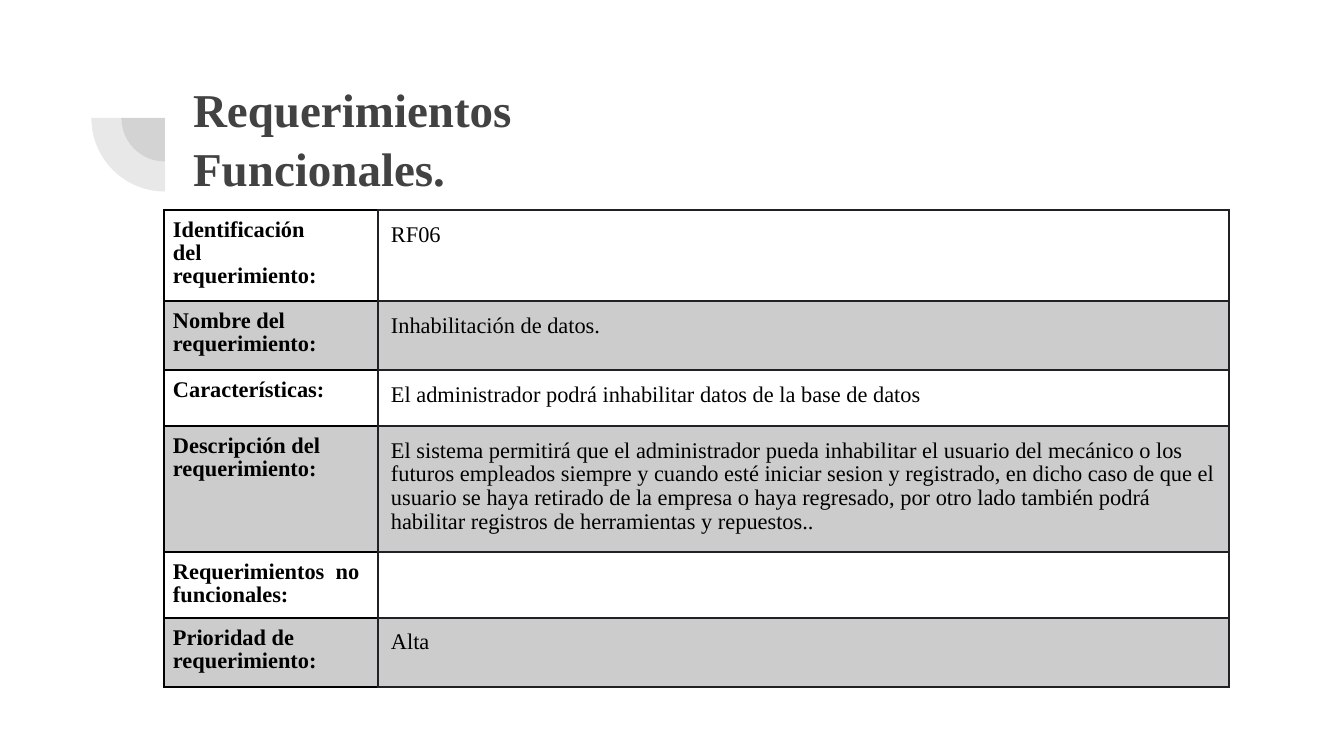
from lxml import etree
from pptx import Presentation
from pptx.dml.color import RGBColor
from pptx.enum.shapes import MSO_SHAPE
from pptx.enum.text import MSO_ANCHOR, MSO_AUTO_SIZE, PP_ALIGN
from pptx.oxml.ns import qn
from pptx.util import Pt

PIE = MSO_SHAPE.PIE
MIDDLE, TOP = MSO_ANCHOR.MIDDLE, MSO_ANCHOR.TOP
LEFT = PP_ALIGN.LEFT
NO_FIT = MSO_AUTO_SIZE.NONE
EMU_PER_PX = 914400 / 134.4
FONT = "Times New Roman"
COLORS = {"title": "424242", "text": "000000", "band": "CCCCCC",
          "label_border": "000000", "value_border": "202124"}
TITLE = "Requerimientos\nFuncionales."
COLUMN_WIDTHS = [214, 851]
ROWS = [
    (91, "Identificación\vdel\nrequerimiento:", "RF06"),
    (69, "Nombre del\nrequerimiento:", "Inhabilitación de datos."),
    (56, "Características:",
     "El administrador podrá inhabilitar datos de la base de datos"),
    (126, "Descripción del requerimiento:",
     "El sistema permitirá que el administrador pueda inhabilitar el usuario "
     "del mecánico o los futuros empleados siempre y cuando esté iniciar sesion "
     "y registrado, en dicho caso de que el usuario se haya retirado de la "
     "empresa o haya regresado, por otro lado también podrá habilitar registros "
     "de herramientas y repuestos.."),
    (66, "Requerimientos  no funcionales:", ""),
    (69, "Prioridad de\nrequerimiento:", "Alta"),
]


def px(length):
    """Turn pixels into EMU."""
    return round(length * EMU_PER_PX)


def color(name):
    """Look up a colour by its role."""
    return RGBColor.from_string(COLORS[name])


def set_margins(holder, margin):
    """Give a cell or text frame the same margin on all sides."""
    holder.margin_left = holder.margin_right = px(margin)
    holder.margin_top = holder.margin_bottom = px(margin)


def style_text(frame, size, color_name, bold, spacing):
    """Format every paragraph of a text frame."""
    for para in frame.paragraphs:
        para.alignment = LEFT
        para.line_spacing = spacing
        para.space_before = para.space_after = Pt(0)
        para.font.name = FONT
        para.font.size = Pt(size)
        para.font.bold = bold
        para.font.color.rgb = color(color_name)


def add_title(page, left, top, width, height):
    """Place and fill the title placeholder."""
    title = page.shapes.title
    title.left, title.top = px(left), px(top)
    title.width, title.height = px(width), px(height)
    frame = title.text_frame
    frame.text = TITLE
    frame.word_wrap = True
    frame.auto_size = NO_FIT
    frame.vertical_anchor = MIDDLE
    set_margins(frame, 13)
    style_text(frame, 25.2, "title", True, 1.05)


def add_quarter_rings(page, center_x, center_y, diameters):
    """Draw translucent quarter discs around one centre."""
    for diameter in diameters:
        pie = page.shapes.add_shape(
            PIE, px(center_x - diameter / 2), px(center_y - diameter / 2),
            px(diameter), px(diameter))
        pie.adjustments[0], pie.adjustments[1] = 107.93, 162
        pie.rotation = 270
        pie.shadow.inherit = False
        pie.line.fill.background()
        pie.fill.solid()
        pie.fill.fore_color.rgb = color("title")
        tint = pie.fill._xPr.find(f".//{qn('a:srgbClr')}")
        etree.SubElement(tint, qn("a:alpha"), val="12000")


def set_borders(cell, color_name, points):
    """Draw the four borders of a cell."""
    properties = cell._tc.get_or_add_tcPr()
    for index, side in enumerate(("a:lnL", "a:lnR", "a:lnT", "a:lnB")):
        line = etree.Element(qn(side), w=str(Pt(points)))
        fill = etree.SubElement(line, qn("a:solidFill"))
        etree.SubElement(fill, qn("a:srgbClr"), val=COLORS[color_name])
        properties.insert(index, line)


def fill_cell(cell, text, banded, margin, bold, spacing, border, points):
    """Write one cell and set its look."""
    cell.text = text
    cell.vertical_anchor = TOP
    set_margins(cell, margin)
    style_text(cell.text_frame, 12, "text", bold, spacing)
    if banded:
        cell.fill.solid()
        cell.fill.fore_color.rgb = color("band")
    else:
        cell.fill.background()
    set_borders(cell, border, points)


def add_requirement_table(page, left, top):
    """Build the table of requirement labels and values."""
    height = sum(row[0] for row in ROWS)
    table = page.shapes.add_table(
        len(ROWS), len(COLUMN_WIDTHS), px(left), px(top),
        px(sum(COLUMN_WIDTHS)), px(height)).table
    table.first_row = table.horz_banding = False
    for column, width in zip(table.columns, COLUMN_WIDTHS):
        column.width = px(width)
    for index, (row_height, label, value) in enumerate(ROWS):
        table.rows[index].height = px(row_height)
        banded = index % 2 == 1
        fill_cell(table.cell(index, 0), label, banded, 9, True, 0.93,
                  "label_border", 1)
        fill_cell(table.cell(index, 1), value, banded, 13, False, 0.96,
                  "value_border", 1.5)


def main():
    """Build and save the deck."""
    deck = Presentation()
    deck.slide_width, deck.slide_height = px(1344), px(756)
    page = deck.slides.add_slide(deck.slide_layouts[5])
    add_quarter_rings(page, 165, 118, (87, 147))
    add_title(page, 180, 63, 1034, 147)
    add_requirement_table(page, 164, 210)
    deck.save("out.pptx")


if __name__ == "__main__":
    main()
